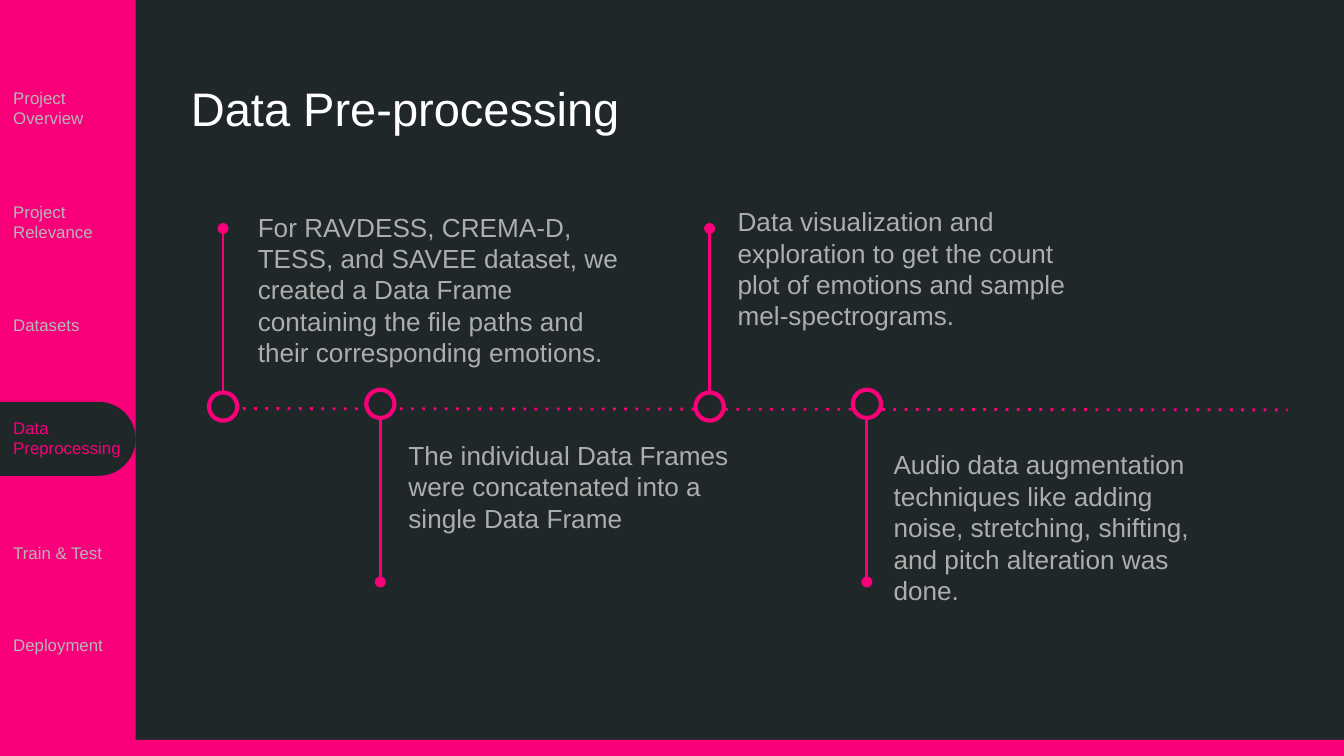
from dataclasses import dataclass

from lxml.etree import SubElement
from pptx import Presentation
from pptx.dml.color import RGBColor
from pptx.enum.shapes import MSO_CONNECTOR, MSO_SHAPE
from pptx.enum.text import MSO_ANCHOR, MSO_AUTO_SIZE, PP_ALIGN
from pptx.oxml.ns import qn
from pptx.shapes.autoshape import Shape
from pptx.shapes.connector import Connector
from pptx.slide import Slide
from pptx.util import Inches, Pt

DARK = RGBColor(0x20, 0x27, 0x29)
PINK = RGBColor(0xF9, 0x00, 0x7A)
WHITE = RGBColor(0xFF, 0xFF, 0xFF)
MENU_GRAY = RGBColor(0xB7, 0xB7, 0xB7)
BODY_GRAY = RGBColor(0xAD, 0xAD, 0xAD)

SLIDE_WIDTH = 10
SLIDE_HEIGHT = SLIDE_WIDTH * 9 / 16
SIDEBAR_WIDTH = 1.01
FOOTER_HEIGHT = 0.12
MARKER_SIZE = 0.21
RISING_TOP = 2.92
FALLING_TOP = 2.9
STEM_LENGTH = 1.22


@dataclass(frozen=True)
class Box:
    left: float
    top: float
    width: float
    height: float

    def lengths(self) -> tuple[int, int, int, int]:
        return Inches(self.left), Inches(self.top), Inches(self.width), Inches(self.height)


@dataclass(frozen=True)
class MenuItem:
    label: str
    top: float
    color: RGBColor = MENU_GRAY


@dataclass(frozen=True)
class Step:
    text: str
    center: float
    rises: bool
    text_box: Box


MENU = [
    MenuItem("Project Overview", 0.58),
    MenuItem("Project Relevance", 1.43),
    MenuItem("Datasets", 2.2),
    MenuItem("Data Preprocessing", 3.04, PINK),
    MenuItem("Train & Test", 3.89),
    MenuItem("Deployment", 4.58),
]

STEPS = [
    Step("For RAVDESS, CREMA-D, TESS, and SAVEE dataset, we created a Data Frame "
         "containing the file paths and their corresponding emotions.",
         1.66, True, Box(1.82, 1.47, 2.9, 1.3)),
    Step("Data visualization and exploration to get the count plot of emotions "
         "and sample mel-spectrograms.",
         5.28, True, Box(5.39, 1.43, 2.9, 1.3)),
    Step("The individual Data Frames were concatenated into a single Data Frame",
         2.83, False, Box(2.94, 3.17, 2.71, 1.43)),
    Step("Audio data augmentation techniques like adding noise, stretching, "
         "shifting, and pitch alteration was done.",
         6.45, False, Box(6.55, 3.24, 2.65, 1.3)),
]


def write_text(shape: Shape, text: str, size: float, color: RGBColor, anchor: MSO_ANCHOR) -> None:
    frame = shape.text_frame
    frame.word_wrap = True
    frame.auto_size = MSO_AUTO_SIZE.NONE
    frame.vertical_anchor = anchor
    frame.margin_left = frame.margin_right = Inches(0.1)
    frame.margin_top = frame.margin_bottom = Inches(0.1)
    frame.text = text
    paragraph = frame.paragraphs[0]
    paragraph.alignment = PP_ALIGN.LEFT
    paragraph.line_spacing = 1.0
    paragraph.font.name = "Arial"
    paragraph.font.size = Pt(size)
    paragraph.font.color.rgb = color


def add_filled_shape(slide: Slide, kind: MSO_SHAPE, box: Box, color: RGBColor) -> Shape:
    shape = slide.shapes.add_shape(kind, *box.lengths())
    shape.shadow.inherit = False
    shape.fill.solid()
    shape.fill.fore_color.rgb = color
    shape.line.fill.background()
    return shape


def add_line(slide: Slide, start: tuple[float, float], end: tuple[float, float]) -> Connector:
    points = [Inches(value) for value in (*start, *end)]
    connector = slide.shapes.add_connector(MSO_CONNECTOR.STRAIGHT, *points)
    connector.line.color.rgb = PINK
    connector.line.width = Pt(1.5)
    SubElement(connector._element.spPr, qn("a:effectLst"))
    return connector


def style_line(connector: Connector, tag: str, **attributes: str) -> None:
    SubElement(connector.line._get_or_add_ln(), qn(tag), **attributes)


def add_menu_item(slide: Slide, item: MenuItem) -> None:
    box = Box(0, item.top, SIDEBAR_WIDTH, 0.44)
    text_box = slide.shapes.add_textbox(*box.lengths())
    write_text(text_box, item.label, 9, item.color, MSO_ANCHOR.MIDDLE)


def add_marker(slide: Slide, step: Step) -> None:
    top = RISING_TOP if step.rises else FALLING_TOP
    box = Box(step.center - MARKER_SIZE / 2, top, MARKER_SIZE, MARKER_SIZE)
    ring = add_filled_shape(slide, MSO_SHAPE.OVAL, box, DARK)
    ring.line.color.rgb = PINK
    ring.line.width = Pt(2.25)

    start = top if step.rises else top + MARKER_SIZE
    end = start - STEM_LENGTH if step.rises else start + STEM_LENGTH
    stem = add_line(slide, (step.center, start), (step.center, end))
    style_line(stem, "a:tailEnd", type="oval")


def add_step_text(slide: Slide, step: Step) -> None:
    text_box = slide.shapes.add_textbox(*step.text_box.lengths())
    write_text(text_box, step.text, 14, BODY_GRAY, MSO_ANCHOR.TOP)


def main() -> None:
    """Build the data pre-processing timeline slide."""
    presentation = Presentation()
    presentation.slide_width = Inches(SLIDE_WIDTH)
    presentation.slide_height = Inches(SLIDE_HEIGHT)
    slide = presentation.slides.add_slide(presentation.slide_layouts[5])
    slide.background.fill.solid()
    slide.background.fill.fore_color.rgb = DARK

    title = slide.shapes.title
    title.left, title.top, title.width, title.height = Box(1.32, 0.49, 8.34, 0.63).lengths()
    write_text(title, "Data Pre-processing", 25.2, WHITE, MSO_ANCHOR.TOP)

    footer = Box(0, SLIDE_HEIGHT - FOOTER_HEIGHT, SLIDE_WIDTH, FOOTER_HEIGHT)
    add_filled_shape(slide, MSO_SHAPE.RECTANGLE, footer, PINK)
    sidebar = Box(0, 0, SIDEBAR_WIDTH, SLIDE_HEIGHT)
    add_filled_shape(slide, MSO_SHAPE.RECTANGLE, sidebar, PINK)
    active_tab = add_filled_shape(
        slide, MSO_SHAPE.ROUNDED_RECTANGLE, Box(-0.39, 2.99, 1.4, 0.55), DARK)
    active_tab.adjustments[0] = 0.5
    for item in MENU:
        add_menu_item(slide, item)

    timeline = add_line(slide, (1.64, 3.04), (9.58, 3.05))
    style_line(timeline, "a:prstDash", val="dot")
    for step in STEPS:
        add_marker(slide, step)
    for step in STEPS:
        add_step_text(slide, step)

    presentation.save("out.pptx")


if __name__ == "__main__":
    main()
